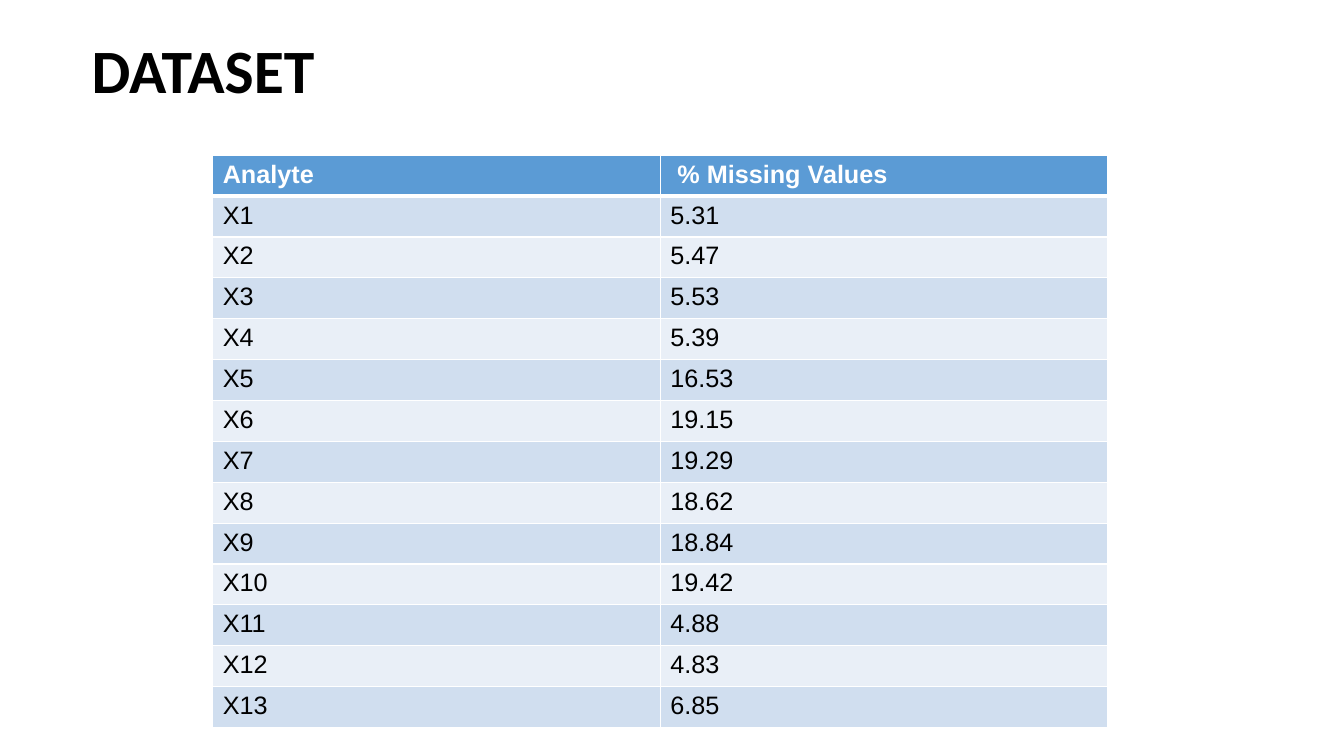
"""Build the DATASET slide with its table of missing values per analyte."""
from lxml.etree import SubElement
from pptx import Presentation
from pptx.dml.color import RGBColor
from pptx.enum.text import MSO_ANCHOR, PP_ALIGN
from pptx.oxml.ns import qn
from pptx.util import Inches, Pt

TITLE = "DATASET"
HEADER = ("Analyte", " % Missing Values")
MISSING = ("5.31", "5.47", "5.53", "5.39", "16.53", "19.15", "19.29",
           "18.62", "18.84", "19.42", "4.88", "4.83", "6.85")
ROWS = [HEADER] + [(f"X{number}", value) for number, value in enumerate(MISSING, 1)]
COLORS = {"text": "000000", "white": "FFFFFF", "header": "5B9BD5",
          "odd": "D0DEEF", "even": "E9EFF7"}
TITLE_BOX = (0.81, 0, 11.5, 1.45)
TABLE_BOX = (2.11, 1.54, 8.88, 5.68)
THIN, THICK = 1, 3


def write_text(frame, text, *, font, size, color="text", bold=False, spacing=1.0):
    """Put one formatted paragraph in a text frame."""
    paragraph = frame.paragraphs[0]
    paragraph.alignment = PP_ALIGN.LEFT
    paragraph.line_spacing = spacing
    run = paragraph.add_run()
    run.text = text
    run.font.name = font
    run.font.size = Pt(size)
    run.font.bold = bold
    run.font.color.rgb = RGBColor.from_string(COLORS[color])


def set_borders(cell, widths):
    """Draw white cell borders with a width in points for each side."""
    properties = cell._tc.get_or_add_tcPr()
    for side, width in widths.items():
        line = SubElement(properties, qn(f"a:ln{side}"), w=str(Pt(width)))
        fill = SubElement(line, qn("a:solidFill"))
        SubElement(fill, qn("a:srgbClr"), val=COLORS["white"])


def add_title(slide):
    """Place and format the title placeholder."""
    title = slide.shapes.title
    title.left, title.top, title.width, title.height = map(Inches, TITLE_BOX)
    title.text_frame.vertical_anchor = MSO_ANCHOR.MIDDLE
    write_text(title.text_frame, TITLE, font="Calibri", size=44, bold=True, spacing=0.9)


def add_missing_table(slide):
    """Add the banded table with equal rows and columns."""
    frame = slide.shapes.add_table(len(ROWS), len(HEADER), *map(Inches, TABLE_BOX))
    for row_index, row in enumerate(ROWS):
        is_header = row_index == 0
        band = "header" if is_header else "odd" if row_index % 2 else "even"
        widths = {"L": THIN, "R": THIN,
                  "T": THICK if row_index == 1 else THIN,
                  "B": THICK if is_header else THIN}
        for column_index, text in enumerate(row):
            cell = frame.table.cell(row_index, column_index)
            set_borders(cell, widths)
            cell.fill.solid()
            cell.fill.fore_color.rgb = RGBColor.from_string(COLORS[band])
            write_text(cell.text_frame, text, font="Arial", size=18,
                       color="white" if is_header else "text", bold=is_header)


def main():
    presentation = Presentation()
    presentation.slide_width, presentation.slide_height = Inches(13.33), Inches(7.5)
    slide = presentation.slides.add_slide(presentation.slide_layouts[5])
    add_title(slide)
    add_missing_table(slide)
    presentation.save("out.pptx")


if __name__ == "__main__":
    main()
